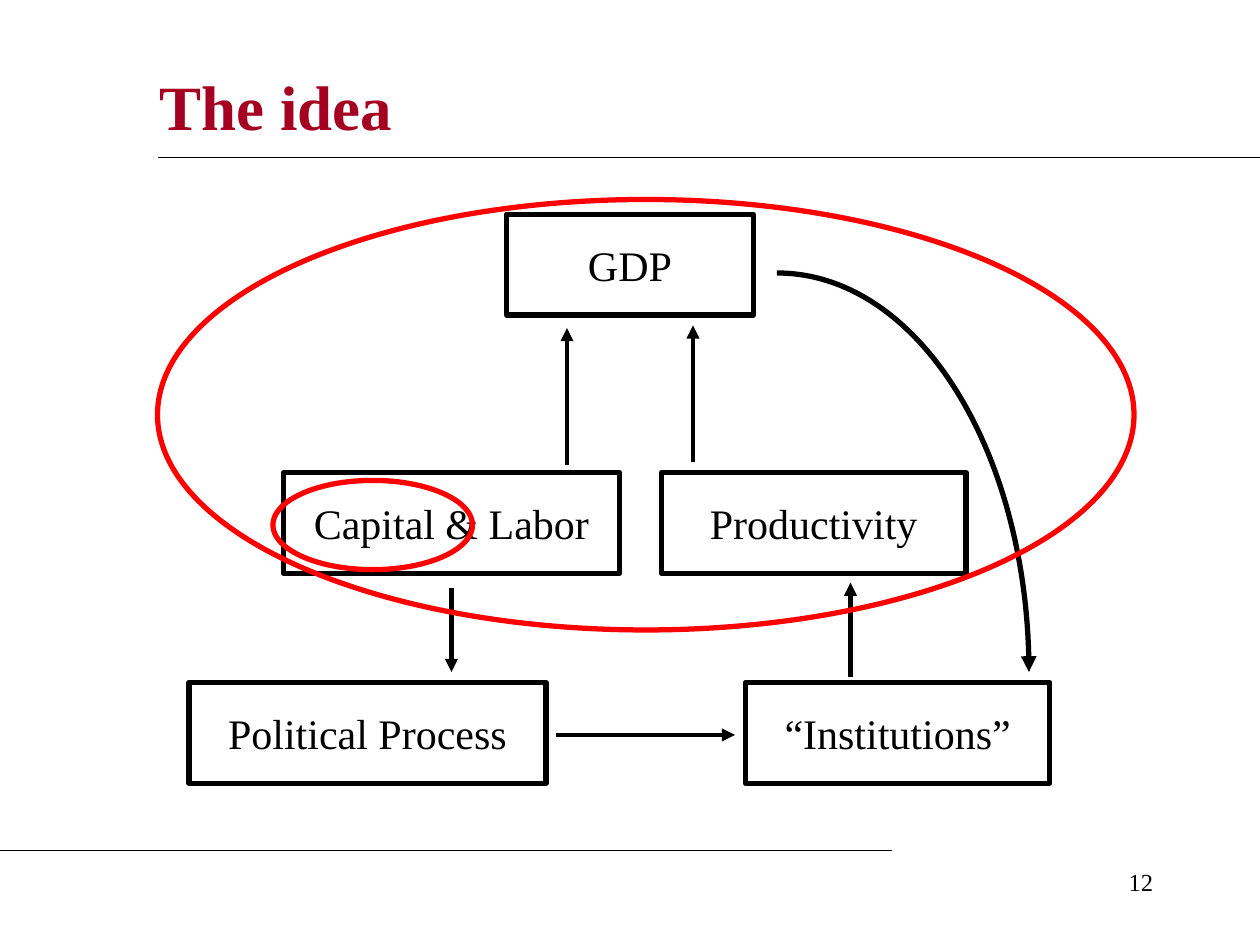
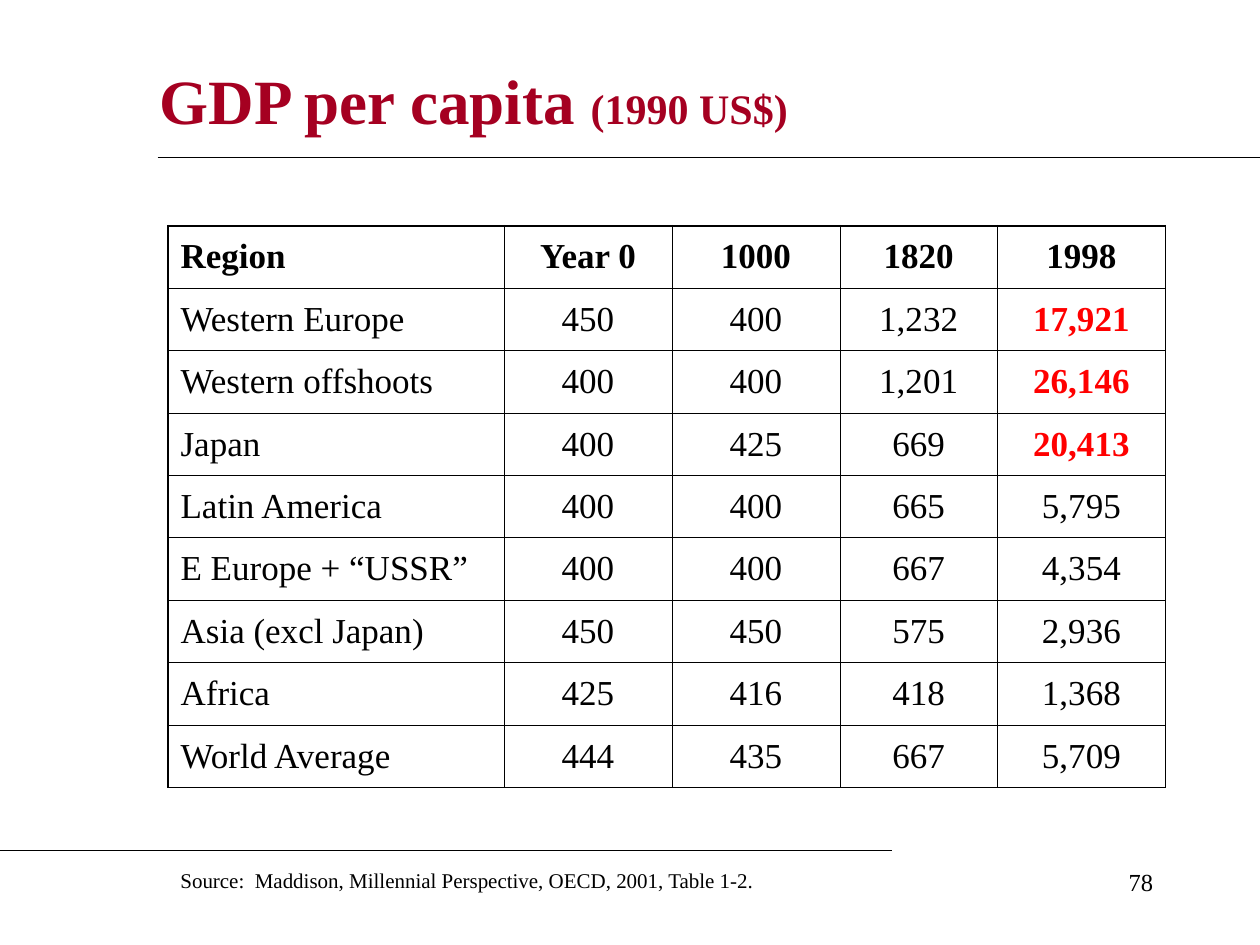
from lxml import etree
from pptx import Presentation
from pptx import util as u
from pptx.dml.color import RGBColor
from pptx.enum import shapes, text
from pptx.oxml import ns

BLACK = RGBColor(0x00, 0x00, 0x00)
CRIMSON = RGBColor(0xA5, 0x00, 0x21)
RED = RGBColor(0xFF, 0x00, 0x00)
FONT = "Times New Roman"

# Grid: 120 columns by 90 rows; every length below is in grid cells
COLUMNS, ROWS = 120, 90
WIDTH, HEIGHT = u.Inches(10), u.Inches(7.5)
RULES = [(15, 15, 120, 15), (0, 81, 85, 81)]
PAGE_NUMBER_AREA = (86, 82, 25, 6)

# Slide 1: diagram
IDEA = {"title": [("The idea", 36)], "title_area": (14, 5, 97, 10), "page": "12"}
BOX_HEIGHT = 9.6
BOXES = [  # label, left, top, width
    ("Capital & Labor", 27, 45, 32),
    ("Productivity", 63, 45, 29),
    ("GDP", 48.25, 20.4, 23.5),
    ("“Institutions”", 71, 65, 29),
    ("Political Process", 18, 65, 34),
]
ARROWS = [  # from, to
    (54, 44.25, 54, 31.25),
    (66, 44, 66, 31),
    (81, 64.5, 81, 55.5),
    (53, 70, 70, 70),
    (43, 56, 43, 64),
]
FEEDBACK_CURVE = (74, 26, 98, 64)
RED_RINGS = [(15, 19, 93, 41), (26, 45.75, 19, 8.5)]

# Slide 2: table
GDP = {"title": [("GDP per capita ", 36), ("(1990 US$)", 24)],
       "title_area": (14, 6, 95, 7), "page": "78"}
TABLE_AREA = (16, 21.5, 95, 53.5)
TABLE_COLUMNS = [32, 16, 16, 15, 16]
TABLE = [
    ("Region", "Year 0", "1000", "1820", "1998"),
    ("Western Europe", "450", "400", "1,232", "17,921"),
    ("Western offshoots", "400", "400", "1,201", "26,146"),
    ("Japan", "400", "425", "669", "20,413"),
    ("Latin America", "400", "400", "665", "5,795"),
    ("E Europe + “USSR”", "400", "400", "667", "4,354"),
    ("Asia (excl Japan)", "450", "450", "575", "2,936"),
    ("Africa", "425", "416", "418", "1,368"),
    ("World Average", "444", "435", "667", "5,709"),
]
HIGHLIGHTS = {"17,921", "26,146", "20,413"}
SOURCE = "Source:  Maddison, Millennial Perspective, OECD, 2001, Table 1-2."
SOURCE_AREA = (16, 82, 61, 3.6)


def grid(*cells):
    """Turn alternating column and row counts into slide lengths."""
    steps = (WIDTH / COLUMNS, HEIGHT / ROWS)
    return [u.Emu(round(count * steps[i % 2])) for i, count in enumerate(cells)]


def style(paragraph, size, color=BLACK, bold=False, align=text.PP_ALIGN.LEFT):
    paragraph.alignment = align
    font = paragraph.font
    font.name, font.size, font.bold = FONT, u.Pt(size), bold
    font.color.rgb = color


def add_label(slide, area, words, size, align=text.PP_ALIGN.LEFT):
    frame = slide.shapes.add_textbox(*grid(*area)).text_frame
    frame.word_wrap = True
    frame.text = words
    style(frame.paragraphs[0], size, align=align)


def add_outline(slide, preset, area, color):
    shape = slide.shapes.add_shape(preset, *grid(*area))
    shape.shadow.inherit = False
    shape.fill.background()
    shape.line.color.rgb, shape.line.width = color, u.Pt(3)
    return shape


def add_arrowhead(shape):
    etree.SubElement(shape.get_or_add_ln(), ns.qn("a:tailEnd"), type="triangle")


def add_line(slide, ends, width, arrow=False):
    connector = slide.shapes.add_connector(shapes.MSO_CONNECTOR.STRAIGHT, *grid(*ends))
    connector.line.color.rgb, connector.line.width = BLACK, u.Pt(width)
    if arrow:
        add_arrowhead(connector)
    etree.SubElement(connector._element.spPr, ns.qn("a:effectLst"))


def add_curve(slide, ends):
    """Quarter of an ellipse that leaves to the right and arrives downwards."""
    left, top, right, bottom = grid(*ends)
    builder = slide.shapes.build_freeform(left, top)
    builder.add_line_segments([(right, bottom)], close=False)
    curve = builder.convert_to_shape()
    line = next(curve._element.iter(ns.qn("a:lnTo")))
    bezier = etree.Element(ns.qn("a:cubicBezTo"))
    width, height = right - left, bottom - top
    for x, y in ((0.55, 0), (1, 0.45), (1, 1)):
        etree.SubElement(bezier, ns.qn("a:pt"),
                         x=str(round(x * width)), y=str(round(y * height)))
    line.getparent().replace(line, bezier)
    curve.shadow.inherit = False
    curve.fill.background()
    curve.line.color.rgb, curve.line.width = BLACK, u.Pt(3)
    add_arrowhead(curve)


def add_border(cell, side, width):
    border = etree.SubElement(cell._tc.get_or_add_tcPr(), ns.qn(f"a:ln{side}"),
                              w=str(u.Pt(width)))
    fill = etree.SubElement(border, ns.qn("a:solidFill"))
    etree.SubElement(fill, ns.qn("a:srgbClr"), val=str(BLACK))


def add_slide(presentation, content):
    """Title, rules and page number that both slides share."""
    slide = presentation.slides.add_slide(presentation.slide_layouts[5])
    title = slide.shapes.title
    title.left, title.top, title.width, title.height = grid(*content["title_area"])
    frame = title.text_frame
    frame.auto_size = text.MSO_AUTO_SIZE.NONE
    frame.vertical_anchor = text.MSO_ANCHOR.MIDDLE
    paragraph = frame.paragraphs[0]
    style(paragraph, content["title"][0][1], CRIMSON, bold=True)
    for words, size in content["title"]:
        run = paragraph.add_run()
        run.text, run.font.size = words, u.Pt(size)
    for ends in RULES:
        add_line(slide, ends, 0.75)
    add_label(slide, PAGE_NUMBER_AREA, content["page"], 14, text.PP_ALIGN.RIGHT)
    return slide


def build_diagram(slide):
    for label, left, top, width in BOXES:
        box = add_outline(slide, shapes.MSO_SHAPE.RECTANGLE,
                          (left, top, width, BOX_HEIGHT), BLACK)
        frame = box.text_frame
        frame.margin_left = frame.margin_right = u.Inches(0.2)
        frame.margin_top = frame.margin_bottom = u.Inches(0.2)
        frame.vertical_anchor = text.MSO_ANCHOR.MIDDLE
        frame.text = label
        style(frame.paragraphs[0], 24, align=text.PP_ALIGN.CENTER)
    for ends in ARROWS:
        add_line(slide, ends, 2.5, arrow=True)
    add_curve(slide, FEEDBACK_CURVE)
    for area in RED_RINGS:
        add_outline(slide, shapes.MSO_SHAPE.OVAL, area, RED)


def build_table(slide):
    last_row, last_column = len(TABLE) - 1, len(TABLE_COLUMNS) - 1
    table = slide.shapes.add_table(len(TABLE), len(TABLE_COLUMNS), *grid(*TABLE_AREA)).table
    table.first_row = table.horz_banding = False
    for column, width in zip(table.columns, TABLE_COLUMNS):
        column.width = grid(width)[0]
    for r, values in enumerate(TABLE):
        for c, value in enumerate(values):
            cell = table.cell(r, c)
            cell.text = value
            cell.vertical_anchor = text.MSO_ANCHOR.MIDDLE
            marked = value in HIGHLIGHTS
            style(cell.text_frame.paragraphs[0], 20, RED if marked else BLACK,
                  bold=marked or r == 0,
                  align=text.PP_ALIGN.CENTER if c else text.PP_ALIGN.LEFT)
            outer = {"L": c == 0, "R": c == last_column, "T": r == 0, "B": r == last_row}
            for side, is_outer in outer.items():
                add_border(cell, side, 1.08 if is_outer else 0.45)
            cell.fill.background()
    add_label(slide, SOURCE_AREA, SOURCE, 12)


def main():
    presentation = Presentation()
    presentation.slide_width, presentation.slide_height = WIDTH, HEIGHT
    build_diagram(add_slide(presentation, IDEA))
    build_table(add_slide(presentation, GDP))
    presentation.save("out.pptx")


if __name__ == "__main__":
    main()
